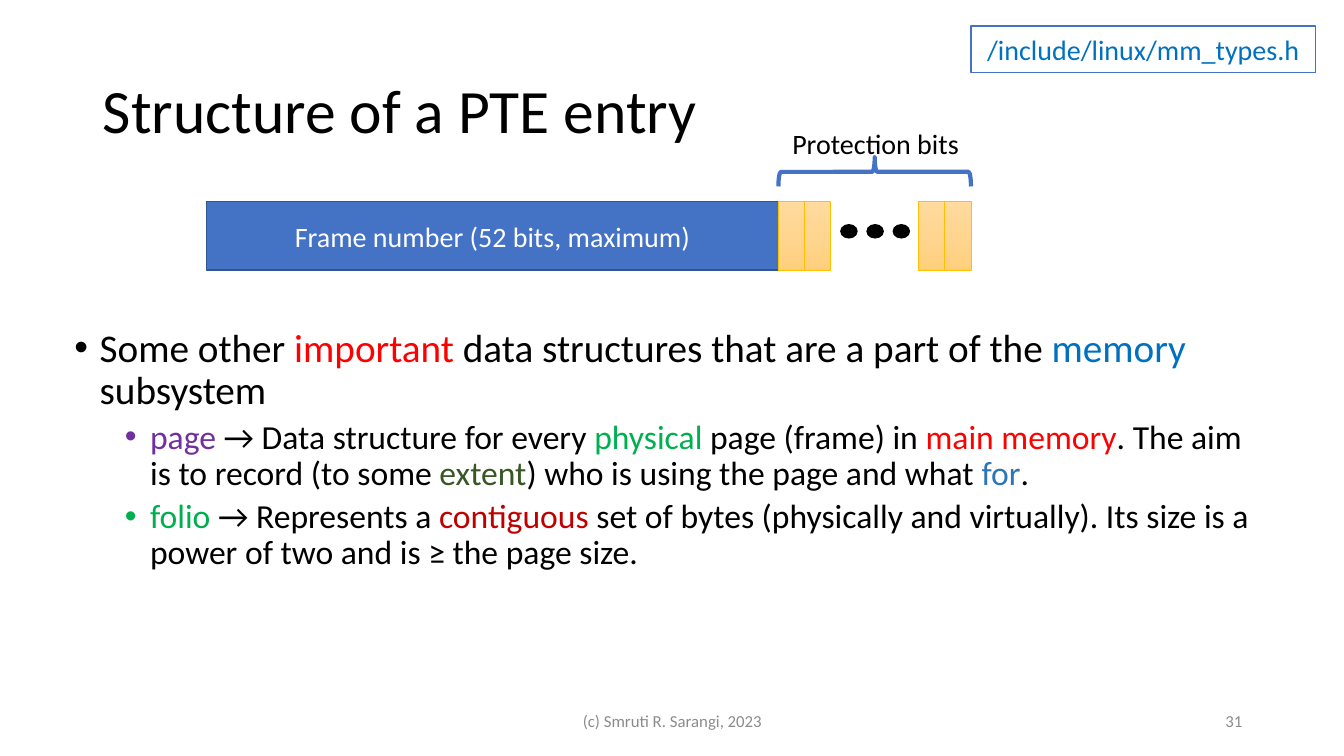
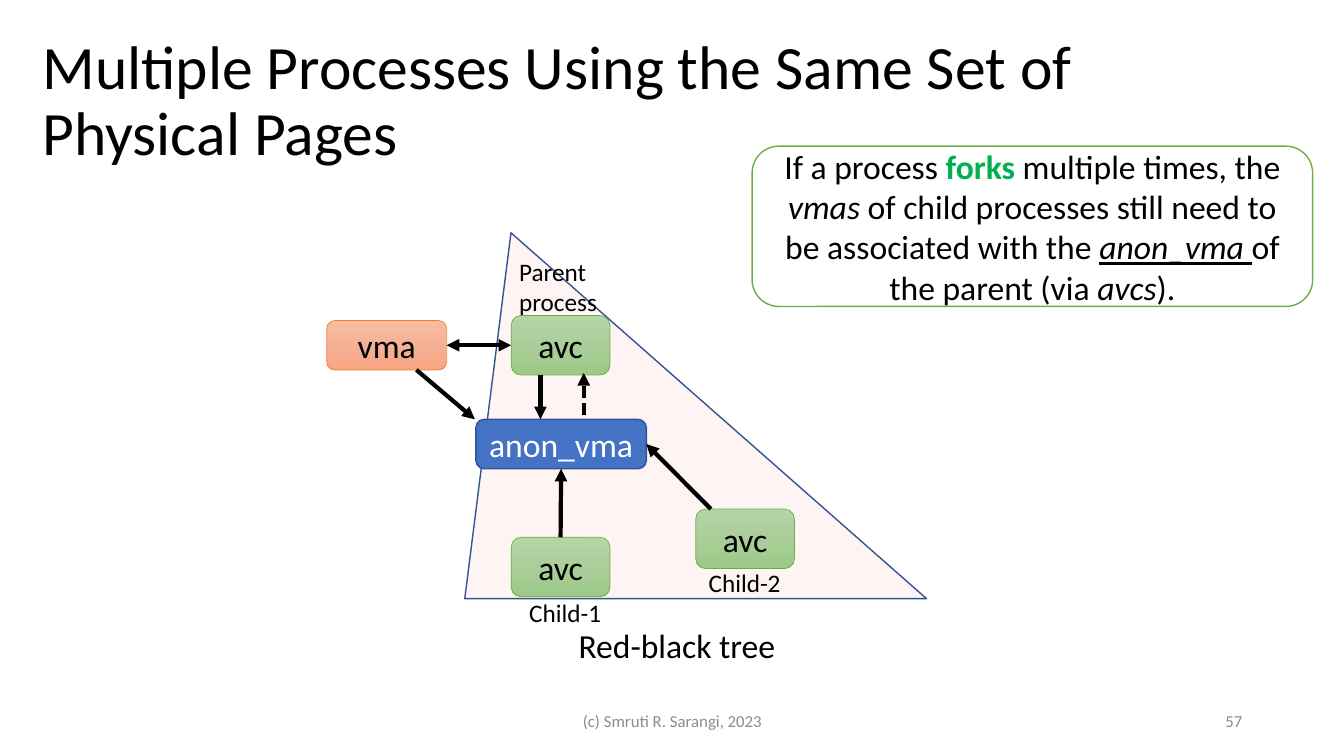
import copy

import pptx
import pptx.dml.color
import pptx.enum.dml
import pptx.enum.shapes
import pptx.enum.text
import pptx.oxml
import pptx.oxml.ns
import pptx.util
from lxml import etree

RGB = pptx.dml.color.RGBColor
SHAPE = pptx.enum.shapes.MSO_SHAPE
ALIGN = pptx.enum.text.PP_ALIGN
ANCHOR = pptx.enum.text.MSO_ANCHOR
FIT = pptx.enum.text.MSO_AUTO_SIZE
DASH = pptx.enum.dml.MSO_LINE
qn = pptx.oxml.ns.qn

PX = 9144  # EMU, so 100 px make an inch

BLACK = RGB(0x00, 0x00, 0x00)
WHITE = RGB(0xFF, 0xFF, 0xFF)
GREY = RGB(0x8C, 0x8C, 0x8C)
BLUE = RGB(0x44, 0x72, 0xC4)
NAVY = RGB(0x32, 0x54, 0x91)
SKY = RGB(0x00, 0x70, 0xC0)
STEEL = RGB(0x2E, 0x75, 0xB6)
RED = RGB(0xFF, 0x00, 0x00)
CRIMSON = RGB(0xC0, 0x00, 0x00)
PURPLE = RGB(0x70, 0x30, 0xA0)
GREEN = RGB(0x00, 0xB0, 0x50)
FOREST = RGB(0x38, 0x57, 0x23)
LEAF = RGB(0x70, 0xAD, 0x47)
GOLD = RGB(0xFF, 0xC0, 0x00)
ORANGE = RGB(0xED, 0x7D, 0x31)
ROSE = RGB(0xFF, 0xE5, 0xE5)
GOLD_FADE = (RGB(0xFF, 0xDB, 0x9E), RGB(0xFF, 0xD5, 0x90), RGB(0xFF, 0xD0, 0x7C))
GREEN_FADE = (RGB(0xB5, 0xD5, 0xA7), RGB(0xAA, 0xCE, 0x9A), RGB(0x9C, 0xC9, 0x87))
ORANGE_FADE = (RGB(0xF7, 0xBD, 0xA5), RGB(0xF5, 0xB1, 0x96), RGB(0xF8, 0xA5, 0x82))


class Deck:
    font = "Calibri"
    footer = "(c) Smruti R. Sarangi, 2023"

    def __init__(self):
        self.presentation = pptx.Presentation()
        self.presentation.slide_width = 1333 * PX
        self.presentation.slide_height = 750 * PX
        self.slide = None

    def new_slide(self, title, left, top, number):
        layout = self.presentation.slide_layouts[5]
        self.slide = self.presentation.slides.add_slide(layout)
        heading = self.slide.shapes.title
        heading.left, heading.top = left * PX, top * PX
        heading.width, heading.height = 1150 * PX, 145 * PX
        frame = heading.text_frame
        frame.auto_size = FIT.NONE
        frame.vertical_anchor = ANCHOR.MIDDLE
        paragraph = frame.paragraphs[0]
        paragraph.alignment = ALIGN.LEFT
        paragraph.line_spacing = 0.9
        self.add_runs(paragraph, [title], 44)
        for text, box, align in (
            (self.footer, (442, 695, 450, 40), ALIGN.CENTER),
            (number, (942, 695, 300, 40), ALIGN.RIGHT),
        ):
            frame = self.text_frame(*box)
            frame.vertical_anchor = ANCHOR.MIDDLE
            frame.paragraphs[0].alignment = align
            self.add_runs(frame.paragraphs[0], [text], 12, GREY)

    def add_runs(self, paragraph, runs, size, color=BLACK):
        """Add runs: plain strings, or (text, colour, style names...) tuples."""
        for item in runs:
            text, run_color, *styles = (item, color) if isinstance(item, str) else item
            run = paragraph.add_run()
            run.text = text
            run.font.name = self.font
            run.font.size = pptx.util.Pt(size)
            run.font.color.rgb = run_color
            run.font.bold = "bold" in styles
            run.font.italic = "italic" in styles
            run.font.underline = "underline" in styles

    def text_frame(self, left, top, width, height):
        box = self.slide.shapes.add_textbox(left * PX, top * PX, width * PX, height * PX)
        box.text_frame.word_wrap = True
        return box.text_frame

    def label(self, lines, left, top, width, height, size):
        frame = self.text_frame(left, top, width, height)
        frame.word_wrap = False
        frame.auto_size = FIT.SHAPE_TO_FIT_TEXT
        paragraph = frame.paragraphs[0]
        for index, line in enumerate(lines):
            if index:
                paragraph.add_line_break()
            self.add_runs(paragraph, [line], size)

    def bullets(self, items, left, top, width, height):
        """Add a list whose items are (level, runs)."""
        frame = self.text_frame(left, top, width, height)
        for index, (level, runs) in enumerate(items):
            paragraph = frame.add_paragraph() if index else frame.paragraphs[0]
            paragraph.level = level
            paragraph.line_spacing = 0.9
            if index:
                paragraph.space_before = pptx.util.Pt(5 if level else 10)
            properties = paragraph._p.get_or_add_pPr()
            properties.set("marL", str((25 + 50 * level) * PX))
            properties.set("indent", str(-25 * PX))
            etree.SubElement(properties, qn("a:buFont")).set("typeface", "Arial")
            etree.SubElement(properties, qn("a:buChar")).set("char", "•")
            self.add_runs(paragraph, runs, 24 if level else 28)

    def shape(self, kind, left, top, width, height, fill, line, weight=1,
              runs=(), size=24, color=BLACK):
        """Add a shape; fill is None, a colour or a tuple of gradient colours."""
        shape = self.slide.shapes.add_shape(
            kind, left * PX, top * PX, width * PX, height * PX)
        shape.shadow.inherit = False
        if fill is None:
            shape.fill.background()
        elif isinstance(fill, RGB):
            shape.fill.solid()
            shape.fill.fore_color.rgb = fill
        else:
            self.fade(shape, fill)
        shape.line.color.rgb = line
        shape.line.width = pptx.util.Pt(weight)
        if runs:
            paragraph = shape.text_frame.paragraphs[0]
            shape.text_frame.vertical_anchor = ANCHOR.MIDDLE
            paragraph.alignment = ALIGN.CENTER
            self.add_runs(paragraph, runs, size, color)
        return shape

    def fade(self, shape, colors):
        """Fill from top to bottom with evenly spaced colours."""
        shape.fill.gradient()
        shape.fill.gradient_angle = 270
        stop_list = shape.element.spPr.find(".//" + qn("a:gsLst"))
        while len(stop_list) < len(colors):
            stop_list.append(copy.deepcopy(stop_list[0]))
        for index, stop in enumerate(shape.fill.gradient_stops):
            stop.position = index / (len(colors) - 1)
            stop.color.rgb = colors[index]

    def see_through(self, shape, opacity):
        color = shape.element.spPr.find(qn("a:solidFill"))[0]
        etree.SubElement(color, qn("a:alpha")).set("val", str(opacity * 1000))

    def arrow(self, start, end, both=False, dashed=False):
        """Join two ends, each an (x, y) point or a (shape, site) pair."""
        link = self.slide.shapes.add_connector(
            pptx.enum.shapes.MSO_CONNECTOR.STRAIGHT, 0, 0, 0, 0)
        if isinstance(start[0], int):
            link.begin_x, link.begin_y = start[0] * PX, start[1] * PX
        else:
            link.begin_connect(*start)
        if isinstance(end[0], int):
            link.end_x, link.end_y = end[0] * PX, end[1] * PX
        else:
            link.end_connect(*end)
        link.line.color.rgb = BLACK
        link.line.width = pptx.util.Pt(3)
        if dashed:
            link.line.dash_style = DASH.SQUARE_DOT
        properties = link._element.spPr
        outline = properties.find(qn("a:ln"))
        for tip in ("a:headEnd", "a:tailEnd") if both else ("a:tailEnd",):
            etree.SubElement(outline, qn(tip)).set("type", "triangle")
        etree.SubElement(properties, qn("a:effectLst"))


def add_pte_slide(deck):
    deck.new_slide("Structure of a PTE entry", 92, 40, "31")
    deck.bullets([
        (0, ["Some other ", ("important", RED),
             " data structures that are a part of the ", ("memory", SKY), " subsystem"]),
        (1, [("page ", PURPLE), "→ Data structure for every ", ("physical", GREEN),
             " page (frame) in ", ("main memory", RED),
             ". The aim is to record (to some ", ("extent", FOREST),
             ") who is using the page and what ", ("for", STEEL), "."]),
        (1, [("folio", GREEN), " → Represents a ", ("contiguous", CRIMSON),
             " set of bytes (physically and virtually). "
             "Its size is a power of two and is ≥ the page size."]),
    ], 64, 321, 1188, 290)
    deck.shape(SHAPE.RECTANGLE, 205, 200, 567, 68, BLUE, NAVY,
               runs=["Frame number (52 bits, maximum)"], size=20, color=WHITE)
    bit_width = 26
    for pair_left in (772, 911):
        for bit in range(2):
            deck.shape(SHAPE.RECTANGLE, pair_left + bit * bit_width, 200, bit_width, 68,
                       GOLD_FADE, GOLD, 0.5)
    brace = deck.shape(SHAPE.LEFT_BRACE, 853, 75, 29, 191, None, BLUE, 3)
    brace.rotation = 90
    deck.label(["Protection bits"], 776, 121, 187, 44, 20)
    for dot in range(3):
        deck.shape(SHAPE.FLOWCHART_CONNECTOR, 834 + dot * bit_width, 223, 16, 13,
                   BLACK, BLACK)
    deck.shape(SHAPE.RECTANGLE, 963, 26, 342, 46, WHITE, BLUE,
               runs=["/include/linux/mm_types.h"], size=20, color=SKY)


def add_fork_slide(deck):
    deck.new_slide("Multiple Processes Using the Same Set of Physical Pages", 32, 29, "57")
    tree = deck.shape(SHAPE.ISOSCELES_TRIANGLE, 461, 231, 458, 363, ROSE, NAVY)
    tree.adjustments[0] = 0.1
    deck.see_through(tree, 40)

    rounded = SHAPE.ROUNDED_RECTANGLE
    vma = deck.shape(rounded, 324, 318, 119, 49, ORANGE_FADE, ORANGE, 0.5, ["vma"])
    anon_vma = deck.shape(rounded, 472, 416, 169, 49, BLUE, NAVY,
                          runs=["anon_vma"], color=WHITE)
    parent, child_1, _ = [
        deck.shape(rounded, left, top, 98, 59, GREEN_FADE, LEAF, 0.5, ["avc"])
        for left, top in ((507, 313), (507, 533), (690, 505))
    ]
    top_site, left_site, bottom_site, right_site = range(4)
    deck.arrow((vma, right_site), (parent, left_site), both=True)
    deck.arrow((536, 372), (536, 416))
    deck.arrow((579, 412), (579, 370), dashed=True)
    deck.arrow((413, 367), (471, 416))
    deck.arrow((705, 505), (anon_vma, right_site))
    deck.arrow((child_1, top_site), (anon_vma, bottom_site))

    deck.label(["Red-black tree"], 564, 615, 217, 50, 24)
    deck.label(["Parent ", "process"], 505, 249, 98, 71, 18)
    deck.label(["Child-1"], 515, 588, 92, 40, 18)
    deck.label(["Child-2"], 693, 558, 92, 40, 18)
    deck.shape(rounded, 746, 145, 556, 159, WHITE, LEAF, runs=[
        "If a process ", ("forks", GREEN, "bold"), " multiple times, the ",
        ("vmas", BLACK, "italic"),
        " of child processes still need to be associated with the ",
        ("anon_vma ", BLACK, "italic", "underline"), "of the parent (via ",
        ("avcs", BLACK, "italic"), ").",
    ])


def main():
    deck = Deck()
    add_pte_slide(deck)
    add_fork_slide(deck)
    deck.presentation.save("out.pptx")


if __name__ == "__main__":
    main()
